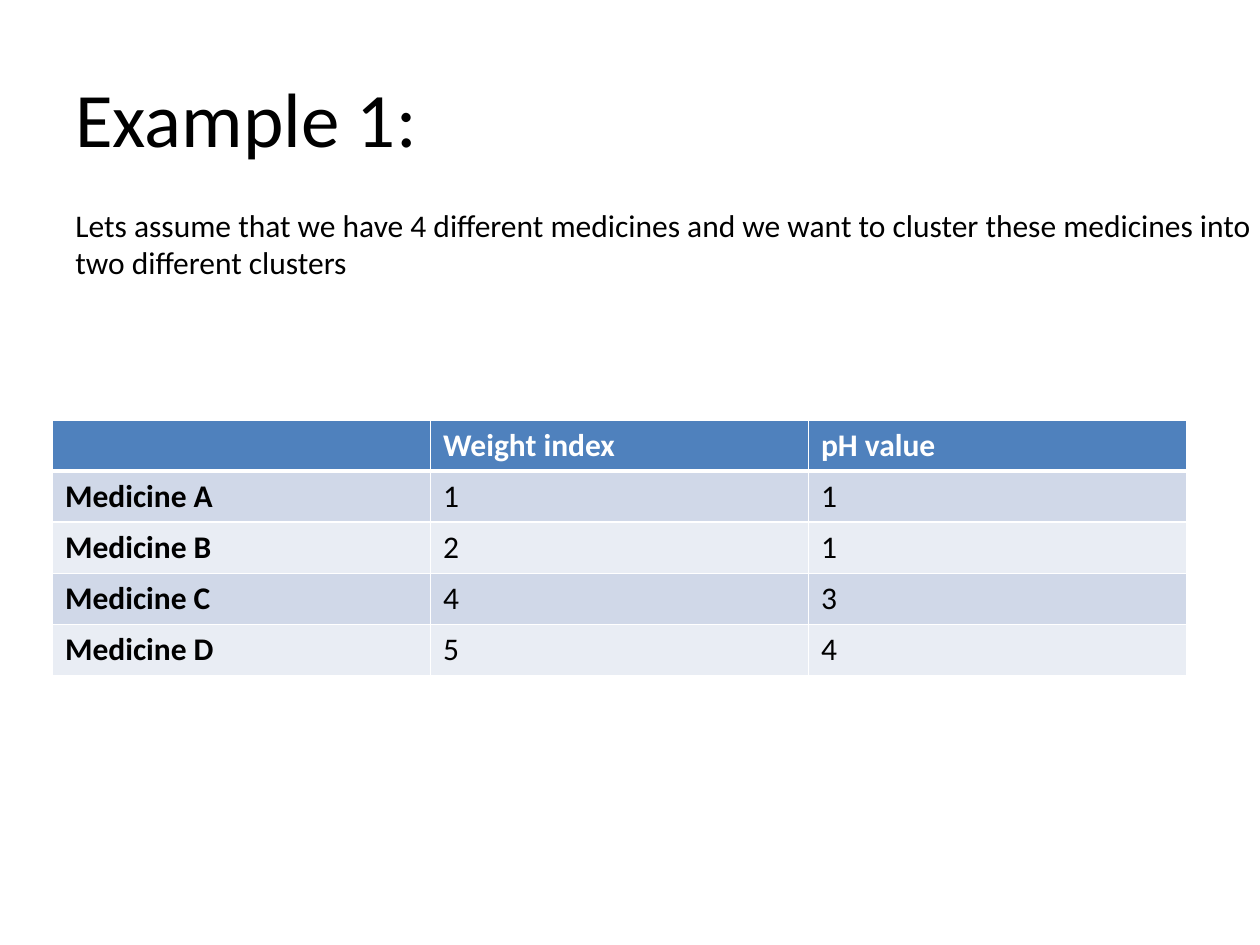
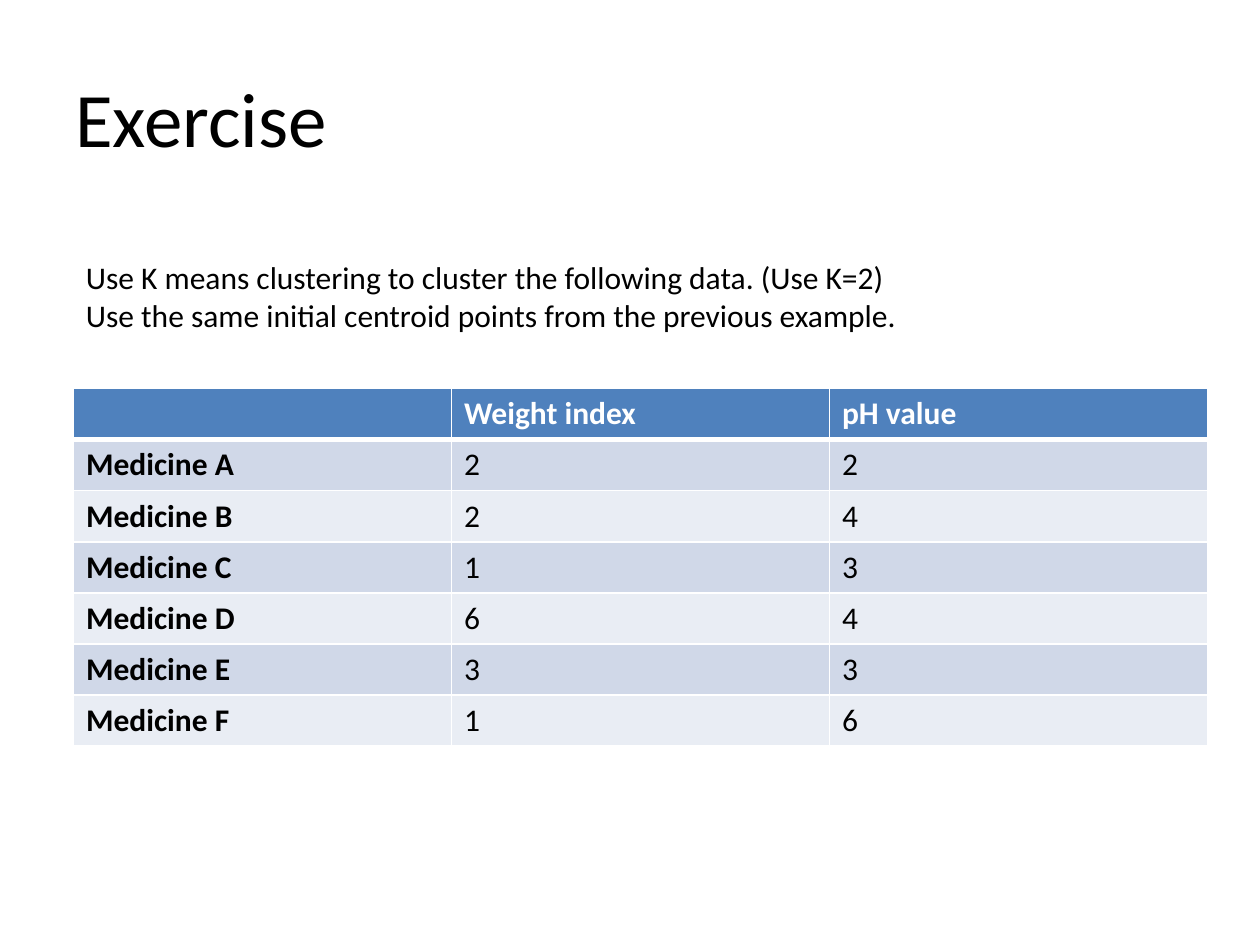
from lxml import etree
from pptx import Presentation
from pptx.dml.color import RGBColor
from pptx.enum.text import MSO_ANCHOR, MSO_AUTO_SIZE, PP_ALIGN
from pptx.oxml.ns import qn
from pptx.util import Pt

MIDDLE = MSO_ANCHOR.MIDDLE
FIT_SHAPE = MSO_AUTO_SIZE.SHAPE_TO_FIT_TEXT
JUSTIFY = PP_ALIGN.JUSTIFY

FONT = "Calibri"
BLACK, WHITE = "000000", "FFFFFF"
HEADER_FILL = "4F81BD"
BAND_FILLS = ("D0D8E8", "E9EDF4")
TITLE_BOX = (36, 21.6, 648, 90)
COL_WIDTH, ROW_HEIGHT = 216, 29.2
HEADINGS = ("", "Weight index", "pH value")

SLIDES = [
    {
        "title": "Example 1:",
        "intro": ["Lets assume that we have 4 different medicines and we want to cluster these medicines into",
                  "two different clusters"],
        "intro_box": (36, 114, 699, 50.9),
        "table_at": (30, 240),
        "values": [(1, 1), (2, 1), (4, 3), (5, 4)],
    },
    {
        "title": "Exercise",
        "intro": ["Use K means clustering to cluster the following data. (Use K=2)",
                  "Use the same initial centroid points from the previous example."],
        "intro_box": (42, 144, 483, 50.9),
        "table_at": (42, 222),
        "values": [(2, 2), (2, 4), (1, 3), (6, 4), (3, 3), (1, 6)],
    },
]


def rgb(color):
    return RGBColor.from_string(color)


def format_runs(tf, size, color=BLACK, bold=False):
    for p in tf.paragraphs:
        for r in p.runs:
            r.font.name = FONT
            r.font.size = Pt(size)
            r.font.bold = bold
            r.font.color.rgb = rgb(color)


def add_text(s, box, lines, size):
    tf = s.shapes.add_textbox(*map(Pt, box)).text_frame
    tf.text = "\n".join(lines)
    format_runs(tf, size)
    return tf


def add_title(s, box, title):
    tf = add_text(s, box, [title], 44)
    tf.word_wrap = True
    tf.vertical_anchor = MIDDLE
    tf.paragraphs[0].alignment = JUSTIFY


def add_intro(s, box, lines):
    tf = add_text(s, box, lines, 18)
    tf.word_wrap = False
    tf.auto_size = FIT_SHAPE


def set_borders(cell, top, bottom):
    tc_pr = cell._tc.get_or_add_tcPr()
    widths = {"a:lnL": 1, "a:lnR": 1, "a:lnT": top, "a:lnB": bottom}
    for tag, width in widths.items():
        ln = etree.SubElement(tc_pr, qn(tag), w=str(Pt(width)))
        fill = etree.SubElement(ln, qn("a:solidFill"))
        etree.SubElement(fill, qn("a:srgbClr"), val=WHITE)


def add_medicine_table(s, left, top, values):
    rows = [HEADINGS] + [(f"Medicine {letter}", *pair) for letter, pair in zip("ABCDEF", values)]
    n_rows, n_cols = len(rows), len(HEADINGS)
    table = s.shapes.add_table(n_rows, n_cols, Pt(left), Pt(top),
                               Pt(n_cols * COL_WIDTH), Pt(n_rows * ROW_HEIGHT)).table
    for col in table.columns:
        col.width = Pt(COL_WIDTH)
    for i, row in enumerate(rows):
        table.rows[i].height = Pt(ROW_HEIGHT)
        header = i == 0
        for j, value in enumerate(row):
            cell = table.cell(i, j)
            cell.text = str(value)
            format_runs(cell.text_frame, 18, WHITE if header else BLACK, header or j == 0)
            set_borders(cell, 3 if i == 1 else 1, 3 if header else 1)
            cell.fill.solid()
            cell.fill.fore_color.rgb = rgb(HEADER_FILL if header else BAND_FILLS[(i - 1) % 2])


def add_medicine_slide(prs, content):
    s = prs.slides.add_slide(prs.slide_layouts[6])
    add_title(s, TITLE_BOX, content["title"])
    add_medicine_table(s, *content["table_at"], content["values"])
    add_intro(s, content["intro_box"], content["intro"])


def main():
    prs = Presentation()
    prs.slide_width, prs.slide_height = Pt(720), Pt(540)
    for content in SLIDES:
        add_medicine_slide(prs, content)
    prs.save("out.pptx")


if __name__ == "__main__":
    main()
